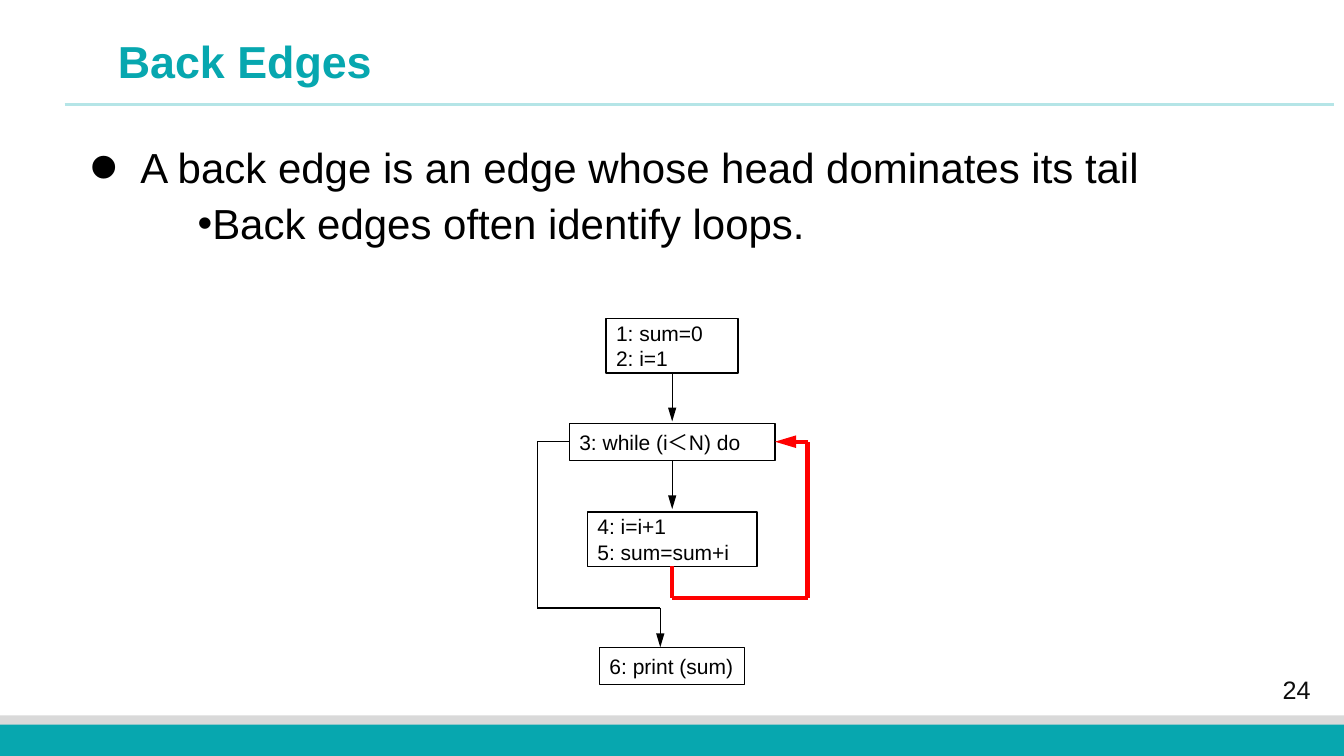
from dataclasses import dataclass
from itertools import pairwise

from lxml.etree import SubElement
from pptx import Presentation
from pptx.dml.color import RGBColor
from pptx.enum.shapes import MSO_CONNECTOR as Line, MSO_SHAPE as Shape
from pptx.enum.text import MSO_ANCHOR as Anchor, PP_ALIGN as Align
from pptx.oxml.ns import qn
from pptx.util import Cm, Pt

Point = tuple[float, float]


@dataclass(frozen=True)
class Theme:
    font: str = "Arial"
    teal: str = "07A7AF"
    rule: str = "B5E5E7"
    grey: str = "D9D9D9"
    black: str = "000000"
    number: str = "0D0D0D"
    red: str = "FF0000"
    title_pt: int = 32
    body_pt: int = 30
    number_pt: int = 18
    code_pt: int = 15


@dataclass(frozen=True)
class Bar:
    top: float
    height: float
    color: str


@dataclass(frozen=True)
class Bullet:
    text: str
    margin: float
    indent: float
    percent: int = 100


@dataclass(frozen=True)
class Block:
    lines: tuple[str, ...]
    top: float
    width: float
    height: float


@dataclass(frozen=True)
class Edge:
    points: tuple[Point, ...]
    color: str
    weight: float
    arrow: bool = True


T = Theme()
SLIDE_W, SLIDE_H = 33.87, 19.05
AXIS, EXIT_X = 16.94, 16.64
LOOP_Y, LEFT_X, RIGHT_X = 11.13, 13.54, 20.35
EXIT_Y, BACK_Y = 15.32, 15.06

BARS = (Bar(18.03, 1.02, T.grey), Bar(18.26, 0.79, T.teal))
BULLETS = (
    Bullet("A back edge is an edge whose head dominates its tail", 1.56, -1.28, 200),
    Bullet("Back edges often identify loops.", 2.01, 0.99),
)
BLOCKS = (
    Block(("1: sum=0", "2: i=1"), 8.03, 3.33, 1.37),
    Block(("3: while (i＜N) do",), 10.67, 5.18, 0.94),
    Block(("4: i=i+1", "5: sum=sum+i"), 12.9, 4.27, 1.37),
    Block(("6: print (sum)",), 16.31, 3.66, 0.94),
)
EDGES = (
    Edge(((1.63, 2.64), (33.63, 2.64)), T.rule, 2.25, False),
    Edge(((AXIS, 9.42), (AXIS, 10.62)), T.black, 1),
    Edge(((AXIS, 11.61), (AXIS, 12.83)), T.black, 1),
    Edge(((14.35, LOOP_Y), (LEFT_X, LOOP_Y), (LEFT_X, EXIT_Y),
          (EXIT_X, EXIT_Y), (EXIT_X, 16.31)), T.black, 1),
    Edge(((AXIS, 14.27), (AXIS, BACK_Y), (RIGHT_X, BACK_Y),
          (RIGHT_X, LOOP_Y), (19.53, LOOP_Y)), T.red, 3),
)


def rgb(color: str) -> RGBColor:
    """Turn a hex string into a colour."""
    return RGBColor.from_string(color)


def write(p, text: str, *, size: float, color: str = T.black, bold: bool = False,
          align=Align.LEFT, spacing=None) -> None:
    """Put formatted text into a paragraph."""
    p.alignment, p.line_spacing = align, spacing
    r = p.add_run()
    r.text = text
    r.font.name, r.font.size, r.font.bold = T.font, Pt(size), bold
    r.font.color.rgb = rgb(color)


def add_text(s, text: str, left: float, top: float, width: float, height: float,
             *, anchor=Anchor.TOP, **fmt) -> None:
    """Add a one-paragraph text box."""
    tf = s.shapes.add_textbox(Cm(left), Cm(top), Cm(width), Cm(height)).text_frame
    tf.word_wrap, tf.vertical_anchor = True, anchor
    write(tf.paragraphs[0], text, **fmt)


def add_rect(s, left: float, top: float, width: float, height: float):
    """Add a rectangle without shadow."""
    sp = s.shapes.add_shape(Shape.RECTANGLE, Cm(left), Cm(top), Cm(width), Cm(height))
    sp.shadow.inherit = False
    return sp


def add_bar(s, bar: Bar) -> None:
    """Add a footer bar across the slide."""
    sp = add_rect(s, 0, bar.top, SLIDE_W, bar.height)
    sp.fill.solid()
    sp.fill.fore_color.rgb = rgb(bar.color)
    sp.line.fill.background()


def add_bullets(s, bullets: tuple[Bullet, ...]) -> None:
    """Add the bulleted body text."""
    tf = s.shapes.add_textbox(Cm(1.73), Cm(3.3), Cm(29.08), Cm(3.43)).text_frame
    tf.word_wrap = True
    for i, b in enumerate(bullets):
        p = tf.add_paragraph() if i else tf.paragraphs[0]
        pr = p._p.get_or_add_pPr()
        pr.set("marL", str(Cm(b.margin)))
        pr.set("indent", str(Cm(b.indent)))
        SubElement(pr, qn("a:buSzPct"), val=str(b.percent * 1000))
        SubElement(pr, qn("a:buFont"), typeface=T.font)
        SubElement(pr, qn("a:buChar"), char="•")
        write(p, b.text, size=T.body_pt, spacing=Pt(40))


def add_block(s, block: Block) -> None:
    """Add a basic block centred on the flow axis."""
    sp = add_rect(s, AXIS - block.width / 2, block.top, block.width, block.height)
    sp.fill.background()
    sp.line.color.rgb, sp.line.width = rgb(T.black), Pt(1)
    tf = sp.text_frame
    tf.word_wrap, tf.vertical_anchor, tf.margin_right = True, Anchor.MIDDLE, 0
    for i, text in enumerate(block.lines):
        p = tf.add_paragraph() if i else tf.paragraphs[0]
        write(p, text, size=T.code_pt)


def add_edge(s, edge: Edge) -> None:
    """Draw an edge as connected segments with an optional arrowhead."""
    for (x1, y1), (x2, y2) in pairwise(edge.points):
        c = s.shapes.add_connector(Line.STRAIGHT, Cm(x1), Cm(y1), Cm(x2), Cm(y2))
        c.line.color.rgb, c.line.width = rgb(edge.color), Pt(edge.weight)
        SubElement(c._element.spPr, qn("a:effectLst"))
    if edge.arrow:
        SubElement(c.line._get_or_add_ln(), qn("a:tailEnd"),
                   type="triangle", w="med", len="lg")


def main() -> None:
    """Build and save the slide."""
    prs = Presentation()
    prs.slide_width, prs.slide_height = Cm(SLIDE_W), Cm(SLIDE_H)
    s = prs.slides.add_slide(prs.slide_layouts[6])
    for bar in BARS:
        add_bar(s, bar)
    add_text(s, "24", 31.52, 16.89, 2.31, 0.99, anchor=Anchor.MIDDLE,
             size=T.number_pt, color=T.number, align=Align.CENTER)
    add_text(s, "Back Edges", 2.72, 0.89, 31.14, 1.22,
             size=T.title_pt, color=T.teal, bold=True, spacing=0.9)
    add_bullets(s, BULLETS)
    for block in BLOCKS:
        add_block(s, block)
    for edge in EDGES:
        add_edge(s, edge)
    prs.save("out.pptx")


if __name__ == "__main__":
    main()
